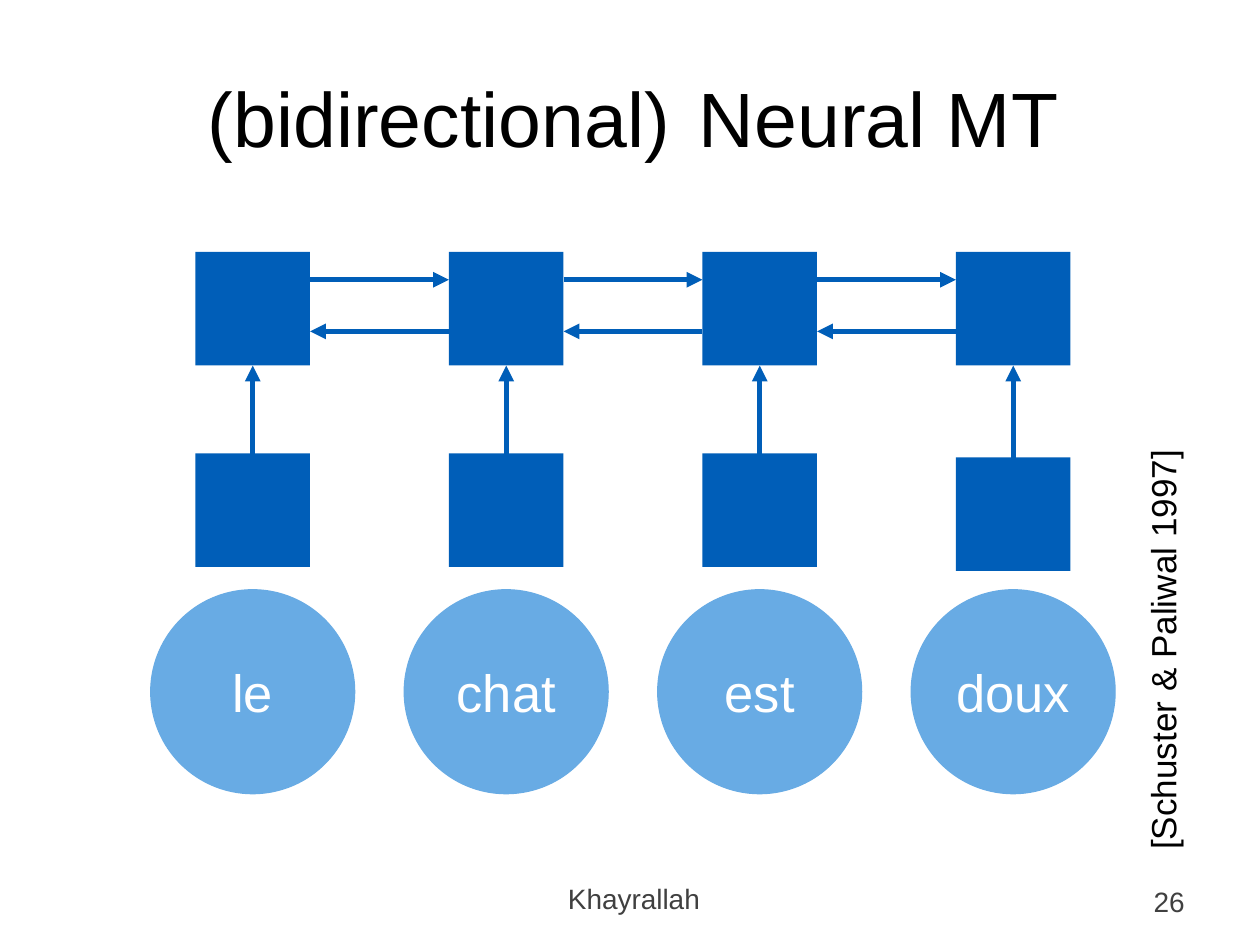
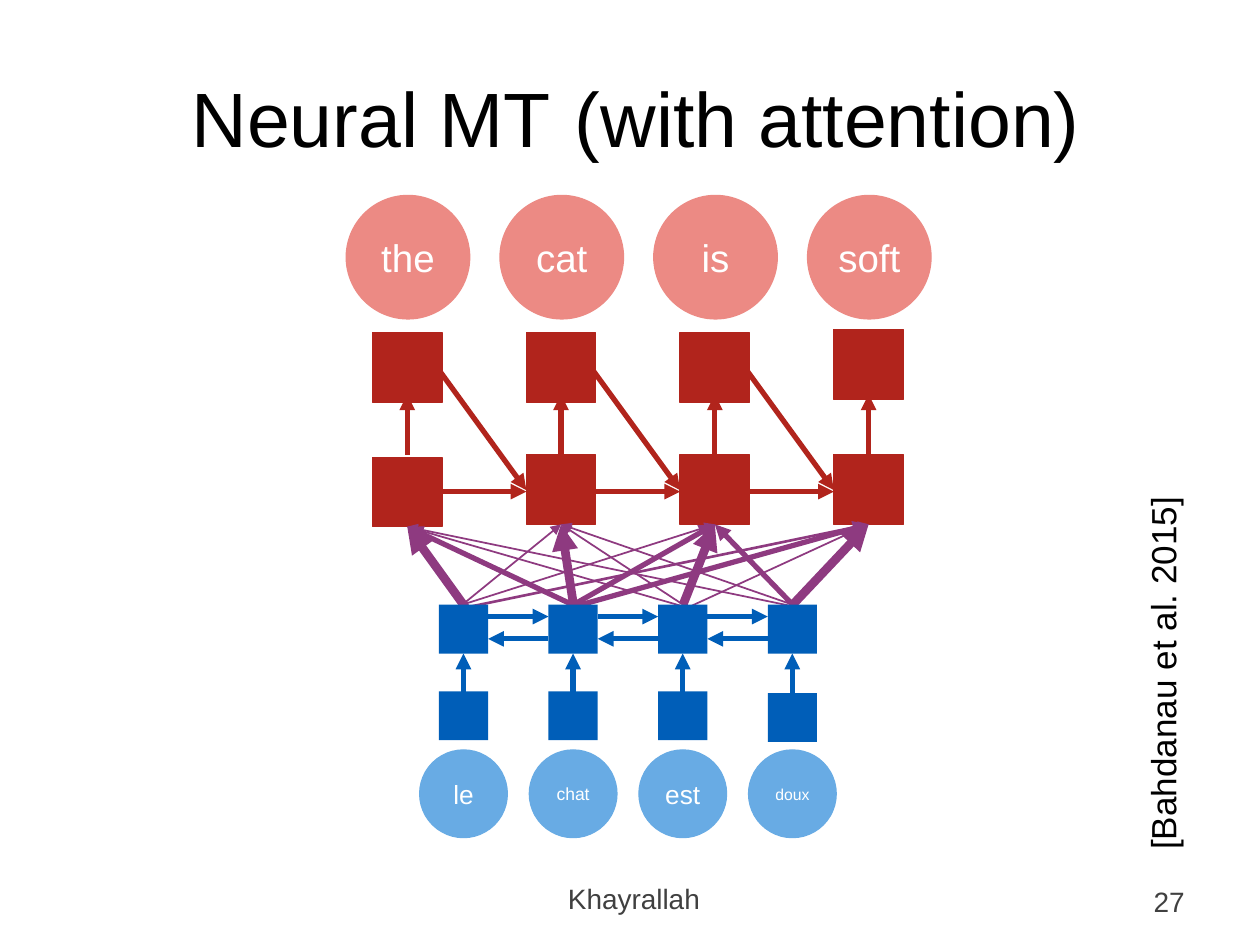
import pptx
import pptx.dml.color
import pptx.enum.shapes
import pptx.enum.text
import pptx.oxml.ns
import pptx.util
from lxml import etree

Cm, Pt = pptx.util.Cm, pptx.util.Pt
RGB = pptx.dml.color.RGBColor.from_string
SHAPE = pptx.enum.shapes.MSO_SHAPE
ALIGN = pptx.enum.text.PP_ALIGN
ANCHOR = pptx.enum.text.MSO_ANCHOR
qn = pptx.oxml.ns.qn

COLORS = {
    "text": "000000",
    "footer": "404040",
    "word": "FFFFFF",
    "source": "68ABE4",
    "encoder": "005EB8",
    "target": "EC8A84",
    "decoder": "B1241C",
    "attention": "8E3A80",
}
TITLE = {"size": 44, "color": "text"}
CITATION = {"size": 20, "color": "text"}
FOOTER = {"size": 16, "color": "footer"}


def add_block(slide, kind, box, fill=None, outline=False, text="", size=16,
              color="word", align=ALIGN.CENTER, anchor=ANCHOR.MIDDLE):
    """Add a preset shape, or a text box when kind is None; box is in cm."""
    lengths = [Cm(v) for v in box]
    if kind is None:
        s = slide.shapes.add_textbox(*lengths)
    else:
        s = slide.shapes.add_shape(kind, *lengths)
        s.shadow.inherit = False
        s.fill.solid()
        s.fill.fore_color.rgb = RGB(COLORS[fill])
        if outline:
            s.line.color.rgb = RGB(COLORS[fill])
            s.line.width = Pt(0.75)
        else:
            s.line.fill.background()
    if text:
        tf = s.text_frame
        frame = {"word_wrap": kind is None, "vertical_anchor": anchor}
        if kind is not None:
            frame.update(margin_left=0, margin_right=0)
        for name, value in frame.items():
            setattr(tf, name, value)
        p = tf.paragraphs[0]
        p.alignment = align
        r = p.add_run()
        r.text = text
        for name, value in {"name": "Arial", "size": Pt(size)}.items():
            setattr(r.font, name, value)
        r.font.color.rgb = RGB(COLORS[color])
    return s


def add_arrow(slide, x1, y1, x2, y2, color, width=3):
    c = slide.shapes.add_connector(
        pptx.enum.shapes.MSO_CONNECTOR.STRAIGHT, Cm(x1), Cm(y1), Cm(x2), Cm(y2))
    c.line.color.rgb = RGB(COLORS[color])
    c.line.width = Pt(width)
    etree.SubElement(c.line._get_or_add_ln(), qn("a:tailEnd"), type="triangle")
    etree.SubElement(c._element.spPr, qn("a:effectLst"))


prs = pptx.Presentation()
prs.slide_width, prs.slide_height = Cm(25.4), Cm(19.05)

# Titles, citations and footers
pages = [
    (26, (3.94, 0.76, 17.65, 3.18), "(bidirectional)", "Neural MT",
     "[Schuster & Paliwal 1997]"),
    (27, (3.61, 0.76, 18.42, 3.18), "Neural MT", "(with attention)",
     "[Bahdanau et al. 2015]"),
]
slides = []
for number, title_box, title_start, title_end, citation in pages:
    slide = prs.slides.add_slide(prs.slide_layouts[6])
    slides.append(slide)
    add_block(slide, None, title_box, text=title_start, align=ALIGN.LEFT, **TITLE)
    add_block(slide, None, title_box, text=title_end, align=ALIGN.RIGHT, **TITLE)
    s = add_block(slide, None, (16.23, 8.59, 14.4, 3.18), text=citation,
                  align=ALIGN.LEFT, **CITATION)
    s.rotation = 270
    add_block(slide, None, (7.14, 17.65, 11.28, 1.02), text="Khayrallah",
              anchor=ANCHOR.TOP, **FOOTER)
    add_block(slide, None, (18.21, 17.65, 5.92, 1.02), text=str(number),
              align=ALIGN.RIGHT, **FOOTER)

# Decoder
attention_slide = slides[1]
step, side = 3.1, 1.4
output_tops = [6.71, 6.71, 6.71, 6.65]
state_tops = [9.22, 9.17, 9.17, 9.17]
for i, word in enumerate(["the", "cat", "is", "soft"]):
    left = 7.51 + i * step
    add_block(attention_slide, SHAPE.OVAL, (left - 0.53, 3.94, 2.49, 2.49),
              "target", True, word, 22)
    for top in (output_tops[i], state_tops[i]):
        add_block(attention_slide, SHAPE.RECTANGLE, (left, top, side, side),
                  "decoder", True)
for i in range(4):
    left = 7.51 + i * step
    centre = left + side / 2
    add_arrow(attention_slide, centre, 9.17, centre, 7.95, "decoder")
    if i < 3:
        following = left + step
        add_arrow(attention_slide, left + side, 9.91, following, 9.91, "decoder")
        add_arrow(attention_slide, left + 1.18, 7.24, following, 9.88, "decoder")

# Attention: for each decoder state, its tip height and (x, y, width) of each start
attention = [
    (10.62, [(9.53, 12.45, 5), (11.86, 12.34, 3), (14.17, 12.34, 1), (16.31, 12.29, 1)]),
    (10.57, [(9.32, 12.19, 1), (11.56, 12.19, 5), (13.77, 12.19, 1), (15.98, 12.19, 1)]),
    (10.57, [(9.32, 12.19, 1), (11.56, 12.19, 3), (13.77, 12.19, 5), (15.98, 12.19, 3)]),
    (10.57, [(8.94, 12.34, 1.5), (11.18, 12.34, 3), (13.49, 12.42, 1), (15.98, 12.19, 5)]),
]
for i, (tip, starts) in enumerate(attention):
    for x, y, width in starts:
        add_arrow(attention_slide, x, y, 8.21 + i * step, tip, "attention", width)

# Bidirectional encoder, full size and then reduced
encoders = [
    (slides[0], 3.04, 5.08, 1, [30, 30, 30, 30]),
    (slides[1], 8.46, 12.19, 0.43, [15, 10, 15, 9]),
]
for slide, origin, top, scale, sizes in encoders:
    pitch = 5.11 if scale == 1 else 2.21
    diameter, width, height = 4.11 * scale, 2.31 * scale, 2.29 * scale
    for i, word in enumerate(["le", "chat", "est", "doux"]):
        left = origin + i * pitch
        square_left = left + 0.9 * scale
        embedding_top = top + (4.14 if i == 3 else 4.06) * scale
        add_block(slide, SHAPE.OVAL, (left, top + 6.81 * scale, diameter, diameter),
                  "source", True, word, sizes[i])
        for y in (embedding_top, top):
            add_block(slide, SHAPE.RECTANGLE, (square_left, y, width, height), "encoder")
    for i in range(4):
        square_left = origin + i * pitch + 0.9 * scale
        right, centre = square_left + width, square_left + width / 2
        add_arrow(slide, centre, top + 4.32 * scale, centre, top + height, "encoder")
        if i < 3:
            following = square_left + pitch
            forward, backward = top + 0.56 * scale, top + 1.6 * scale
            add_arrow(slide, right, forward, following, forward, "encoder")
            add_arrow(slide, following, backward, right, backward, "encoder")

prs.save("out.pptx")
